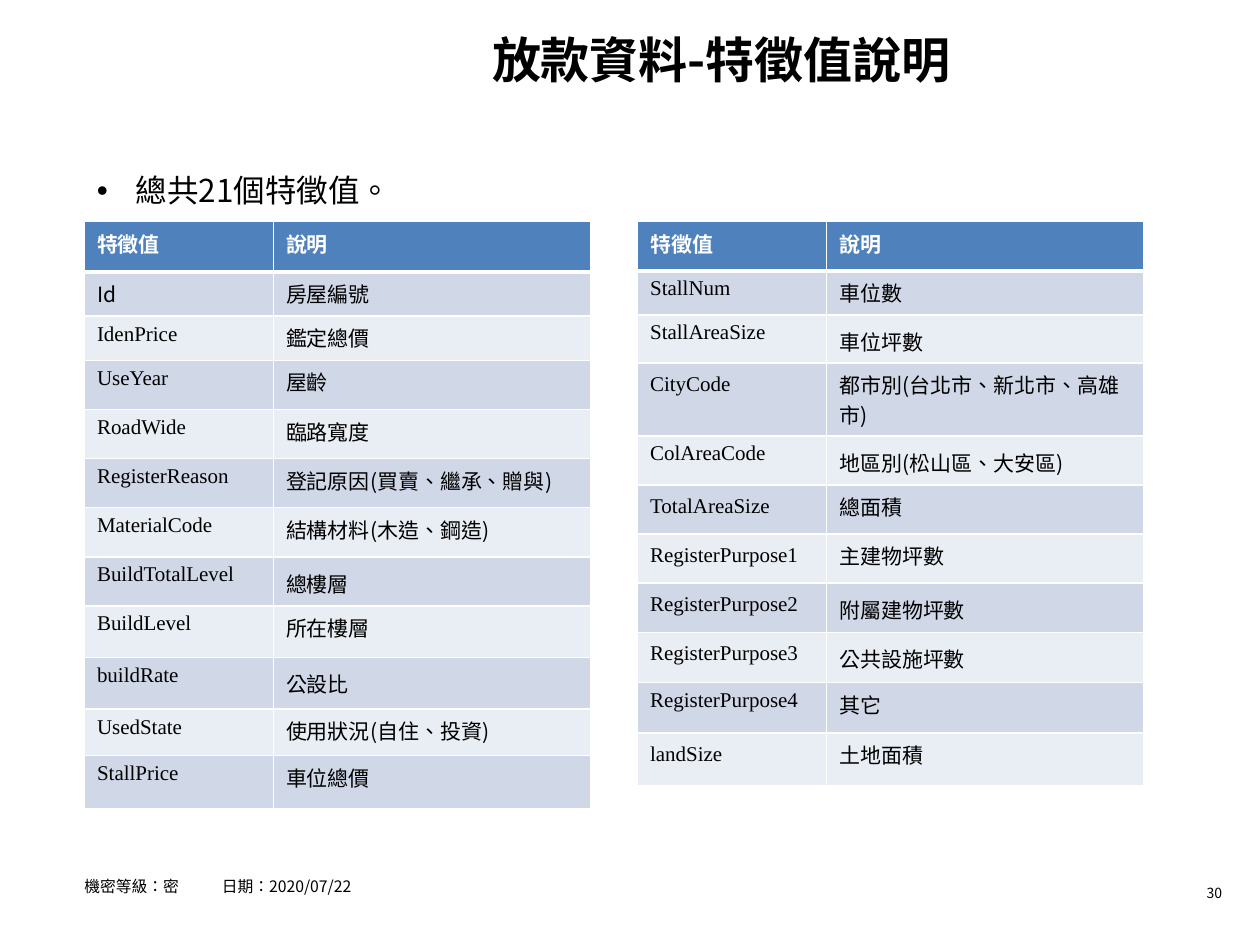
from dataclasses import dataclass
from typing import NamedTuple

from lxml.etree import SubElement
from pptx import Presentation
from pptx.dml.color import RGBColor as Rgb
from pptx.enum.text import MSO_ANCHOR as Anchor, PP_ALIGN as Align
from pptx.oxml.ns import qn
from pptx.util import Inches, Pt


@dataclass(frozen=True)
class Theme:
    sans: str = "Noto Sans CJK SC"
    serif: str = "Times New Roman"
    language: str = "zh-TW"
    black: str = "000000"
    white: str = "FFFFFF"
    header: str = "4F81BD"
    bands: tuple[str, str] = ("D0D8E8", "E9EDF4")
    title_size: float = 28
    body_size: float = 18
    table_size: float = 12
    footer_size: float = 9
    number_size: float = 8


class Box(NamedTuple):
    left: float
    top: float
    width: float
    height: float


class Feature(NamedTuple):
    name: str
    description: str
    height: float = 0.39
    name_spaced: bool = False
    description_spaced: bool = False
    name_font: str = "Times New Roman"


class FeatureTable(NamedTuple):
    left: float
    header_height: float
    features: list[Feature]


THEME = Theme()
TABLE_TOP = 1.76
COLUMN_WIDTHS = (1.5, 2.52)
HEADINGS = ("特徵值", "說明")

TABLES = [
    FeatureTable(0.67, 0.4, [
        Feature("Id", "房屋編號", 0.35, name_font=THEME.sans),
        Feature("IdenPrice", "鑑定總價", 0.35),
        Feature("UseYear", "屋齡"),
        Feature("RoadWide", "臨路寬度"),
        Feature("RegisterReason", "登記原因(買賣、繼承、贈與)"),
        Feature("MaterialCode", "結構材料(木造、鋼造)"),
        Feature("BuildTotalLevel", "總樓層", description_spaced=True),
        Feature("BuildLevel", "所在樓層", 0.41),
        Feature("buildRate", "公設比", 0.41, description_spaced=True),
        Feature("UsedState", "使用狀況(自住、投資)", 0.37),
        Feature("StallPrice", "車位總價", 0.42),
    ]),
    FeatureTable(5.06, 0.39, [
        Feature("StallNum", "車位數", 0.35),
        Feature("StallAreaSize", "車位坪數", 0.38, description_spaced=True),
        Feature("CityCode", "都市別(台北市、新北市、高雄市)", 0.58, name_spaced=True),
        Feature("ColAreaCode", "地區別(松山區、大安區)", description_spaced=True),
        Feature("TotalAreaSize", "總面積", name_spaced=True),
        Feature("RegisterPurpose1", "主建物坪數", name_spaced=True),
        Feature("RegisterPurpose2", "附屬建物坪數", name_spaced=True, description_spaced=True),
        Feature("RegisterPurpose3", "公共設施坪數", 0.4, True, True),
        Feature("RegisterPurpose4", "其它", 0.4),
        Feature("landSize", "土地面積", 0.42, name_spaced=True),
    ]),
]


def write_text(frame, text: str, *, size: float, font: str = THEME.sans,
               color: str = THEME.black, bold: bool = False, align=Align.LEFT,
               line_spacing: float | None = None, space_before: float | None = None):
    paragraph = frame.paragraphs[0]
    paragraph.alignment = align
    if line_spacing is not None:
        paragraph.line_spacing = line_spacing
    if space_before is not None:
        paragraph.space_before = Pt(space_before)
    run = paragraph.add_run()
    run.text = text
    run.font.size = Pt(size)
    run.font.name = font
    run.font.bold = bold
    run.font.color.rgb = Rgb.from_string(color)
    run.font._element.set("lang", THEME.language)
    SubElement(run.font._element, qn("a:ea"), typeface=THEME.sans)
    return paragraph


def add_text_box(slide, box: Box, *, anchor=Anchor.TOP,
                 insets: tuple[float, float, float, float] = (0.1, 0.05, 0.1, 0.05)):
    frame = slide.shapes.add_textbox(*map(Inches, box)).text_frame
    frame.word_wrap = True
    frame.vertical_anchor = anchor
    (frame.margin_left, frame.margin_top,
     frame.margin_right, frame.margin_bottom) = map(Inches, insets)
    return frame


def add_bullet(paragraph, indent: float) -> None:
    properties = paragraph._p.get_or_add_pPr()
    properties.set("marL", str(Inches(indent)))
    properties.set("indent", str(-Inches(indent)))
    SubElement(properties, qn("a:buFont"), typeface="Arial")
    SubElement(properties, qn("a:buChar"), char="•")


def add_tab_stop(paragraph, position: float) -> None:
    stops = SubElement(paragraph._p.get_or_add_pPr(), qn("a:tabLst"))
    SubElement(stops, qn("a:tab"), pos=str(Inches(position)), algn="l")


def style_cell(cell, fill: str, top: float = 1, bottom: float = 1) -> None:
    properties = cell._tc.get_or_add_tcPr()
    for side, width in (("L", 1), ("R", 1), ("T", top), ("B", bottom)):
        line = SubElement(properties, qn(f"a:ln{side}"), w=str(Pt(width)))
        color = SubElement(SubElement(line, qn("a:solidFill")), qn("a:srgbClr"))
        color.set("val", THEME.white)
    cell.fill.solid()
    cell.fill.fore_color.rgb = Rgb.from_string(fill)


def add_feature_table(slide, spec: FeatureTable) -> None:
    heights = [spec.header_height, *(feature.height for feature in spec.features)]
    box = Box(spec.left, TABLE_TOP, sum(COLUMN_WIDTHS), sum(heights))
    table = slide.shapes.add_table(len(heights), len(COLUMN_WIDTHS),
                                   *map(Inches, box)).table
    for column, width in zip(table.columns, COLUMN_WIDTHS):
        column.width = Inches(width)
    for row, height in zip(table.rows, heights):
        row.height = Inches(height)
    for cell, heading in zip(table.rows[0].cells, HEADINGS):
        style_cell(cell, THEME.header, bottom=3)
        write_text(cell.text_frame, heading, size=THEME.table_size,
                   font=THEME.serif, color=THEME.white, bold=True)
    for index, feature in enumerate(spec.features):
        entries = (
            (feature.name, feature.name_font, feature.name_spaced),
            (feature.description, THEME.sans, feature.description_spaced),
        )
        for cell, (text, font, spaced) in zip(table.rows[index + 1].cells, entries):
            style_cell(cell, THEME.bands[index % 2], top=1 if index else 3)
            write_text(cell.text_frame, text, size=THEME.table_size, font=font,
                       line_spacing=1.15 if spaced else None,
                       space_before=6 if spaced else None)


def main() -> None:
    presentation = Presentation()
    presentation.slide_width = Inches(10)
    presentation.slide_height = Inches(7.5)
    slide = presentation.slides.add_slide(presentation.slide_layouts[6])

    number = add_text_box(slide, Box(9.1, 6.98, 0.68, 0.25),
                          insets=(0.08, 0.04, 0.08, 0.04))
    write_text(number, "30", size=THEME.number_size, align=Align.RIGHT)

    body = add_text_box(slide, Box(0.67, 1.31, 8.74, 5.59))
    add_bullet(write_text(body, "總共21個特徵值。", size=THEME.body_size), 0.31)

    title = add_text_box(slide, Box(2.31, 0.17, 6.83, 0.59), anchor=Anchor.MIDDLE)
    write_text(title, "放款資料-特徵值說明", size=THEME.title_size, bold=True,
               align=Align.CENTER)

    footer = add_text_box(slide, Box(0.67, 6.9, 7.42, 0.31), insets=(0, 0.04, 0.08, 0.04))
    add_tab_stop(write_text(footer, "機密等級：密\t日期：2020/07/22",
                            size=THEME.footer_size, line_spacing=1.1), 1.09)

    for spec in TABLES:
        add_feature_table(slide, spec)
    presentation.save("out.pptx")


if __name__ == "__main__":
    main()
